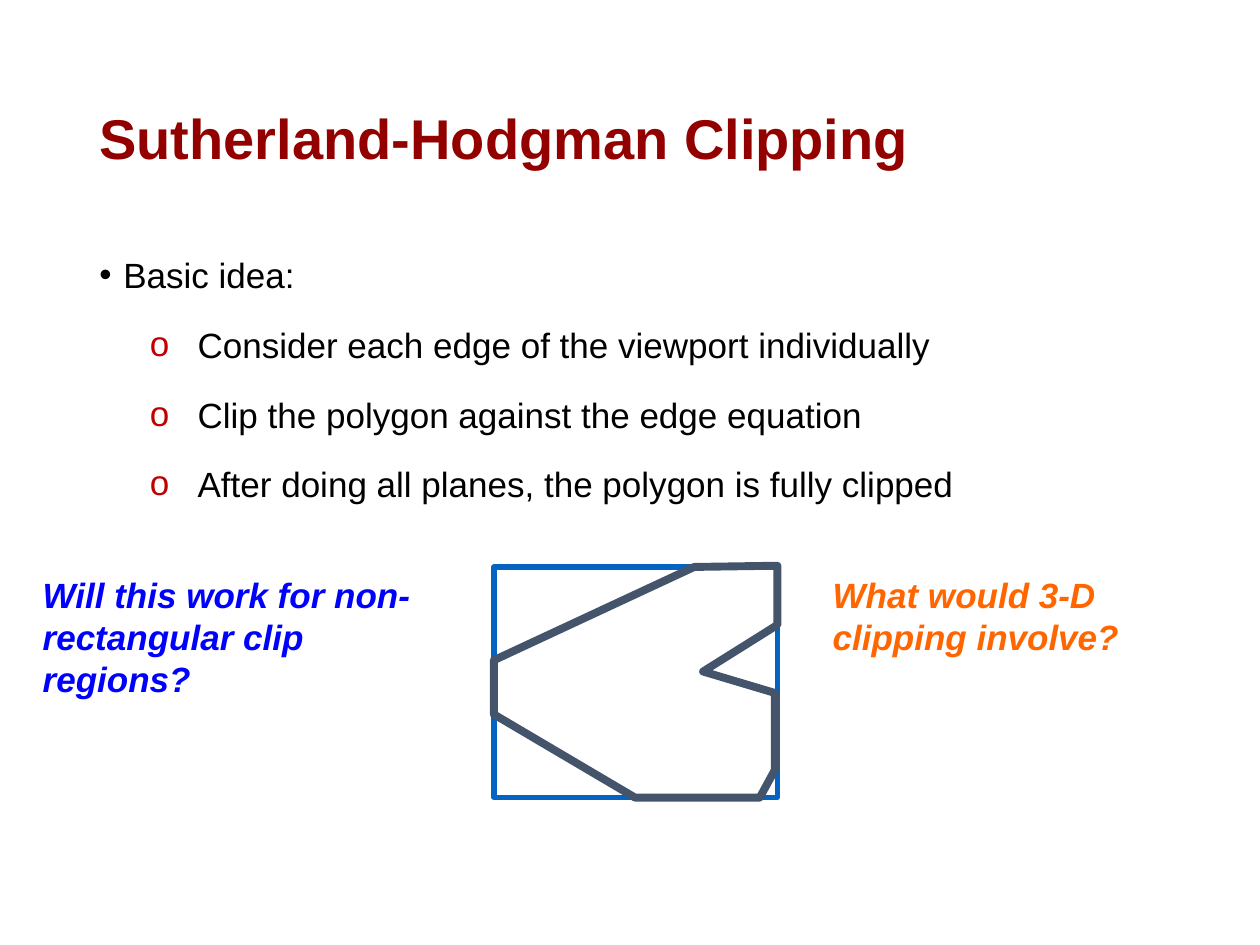
from lxml import etree
from pptx import Presentation, util as u
from pptx.dml.color import RGBColor
from pptx.enum import shapes, text
from pptx.oxml.ns import qn

DARK_RED = RGBColor(0x92, 0x00, 0x00)
BLACK = RGBColor(0, 0, 0)
BLUE = RGBColor(0x00, 0x00, 0xFF)
ORANGE = RGBColor(0xFF, 0x66, 0x00)
VIEWPORT_BLUE = RGBColor(0x05, 0x63, 0xC1)
POLYGON_SLATE = RGBColor(0x44, 0x54, 0x6A)

WIDTH, HEIGHT = 10, 7.5
MARGIN = 0.69
CONTENT_WIDTH = WIDTH - 2 * MARGIN
DIAGRAM_TOP = HEIGHT * 0.6

TITLE = "Sutherland-Hodgman Clipping"
IDEA = "Basic idea:"
STEPS = [
    "Consider each edge of the viewport individually",
    "Clip the polygon against the edge equation",
    "After doing all planes, the polygon is fully clipped",
]
QUESTIONS = [
    ("Will this work for non-rectangular clip regions?", BLUE, 0.24, 3.48, 1.11),
    ("What would 3-D clipping involve?", ORANGE, 6.51, 2.91, 0.77),
]
VIEWPORT = (3.92, DIAGRAM_TOP, 2.25, 1.83)
CLIPPED_POLYGON = [
    (5.51, 4.5), (3.92, 5.24), (3.92, 5.67), (5.04, 6.33), (6.03, 6.33),
    (6.15, 6.11), (6.15, 5.5), (5.58, 5.33), (6.17, 4.96), (6.17, 4.49),
]

BODY_FONT = {"name": "Arial", "size": u.Pt(20)}
TITLE_FONT = {"name": "Arial", "size": u.Pt(32), "bold": True}
QUESTION_FONT = BODY_FONT | {"bold": True, "italic": True}
IDEA_SPACING = {"line_spacing": 0.9}
STEP_SPACING = {"line_spacing": 1.5, "space_before": u.Pt(3.8), "level": 1}


def set_values(target, values):
    for name, value in values.items():
        setattr(target, name, value)


def add_text_box(slide, box, anchor=text.MSO_ANCHOR.TOP):
    frame = slide.shapes.add_textbox(*map(u.Inches, box)).text_frame
    set_values(frame, {"word_wrap": True, "vertical_anchor": anchor})
    return frame


def write(paragraph, words, font, color, spacing=None):
    paragraph.text = words
    set_values(paragraph, spacing or {})
    run_font = paragraph.runs[0].font
    set_values(run_font, font)
    run_font.color.rgb = color


def add_bullet(paragraph, character, left, hanging, color=None):
    properties = paragraph._p.get_or_add_pPr()
    properties.set("marL", str(u.Inches(left)))
    properties.set("indent", str(-u.Inches(hanging)))
    if color:
        bullet_color = etree.SubElement(properties, qn("a:buClr"))
        etree.SubElement(bullet_color, qn("a:srgbClr"), val=color)
    etree.SubElement(properties, qn("a:buFont"), typeface="Arial")
    etree.SubElement(properties, qn("a:buChar"), char=character)


def outline(shape, color, width):
    shape.shadow.inherit = False
    shape.fill.background()
    shape.line.color.rgb = color
    shape.line.width = u.Pt(width)


def add_body(slide):
    frame = add_text_box(slide, (MARGIN, 2, CONTENT_WIDTH, 4.76))
    idea = frame.paragraphs[0]
    add_bullet(idea, "•", 0.19, 0.19)
    write(idea, IDEA, BODY_FONT, BLACK, IDEA_SPACING)
    for step in STEPS:
        paragraph = frame.add_paragraph()
        add_bullet(paragraph, "o", 0.78, 0.38, "C00000")
        write(paragraph, step, BODY_FONT, BLACK, STEP_SPACING)


def add_diagram(slide):
    viewport = slide.shapes.add_shape(
        shapes.MSO_SHAPE.RECTANGLE, *map(u.Inches, VIEWPORT))
    outline(viewport, VIEWPORT_BLUE, 3)
    start, *corners = [(x * 100, y * 100) for x, y in CLIPPED_POLYGON]
    builder = slide.shapes.build_freeform(*start, scale=u.Inches(0.01))
    builder.add_line_segments(corners, close=True)
    polygon = builder.convert_to_shape()
    outline(polygon, POLYGON_SLATE, 4.5)
    etree.SubElement(polygon.line._get_or_add_ln(), qn("a:round"))


def main():
    presentation = Presentation()
    set_values(presentation, {"slide_width": u.Inches(WIDTH),
                              "slide_height": u.Inches(HEIGHT)})
    slide = presentation.slides.add_slide(presentation.slide_layouts[6])
    title = add_text_box(slide, (MARGIN, 0.4, CONTENT_WIDTH, 1.45),
                         text.MSO_ANCHOR.MIDDLE)
    write(title.paragraphs[0], TITLE, TITLE_FONT, DARK_RED, IDEA_SPACING)
    add_diagram(slide)
    add_body(slide)
    for words, color, left, width, height in QUESTIONS:
        frame = add_text_box(slide, (left, DIAGRAM_TOP, width, height))
        write(frame.paragraphs[0], words, QUESTION_FONT, color)
    presentation.save("out.pptx")


if __name__ == "__main__":
    main()
